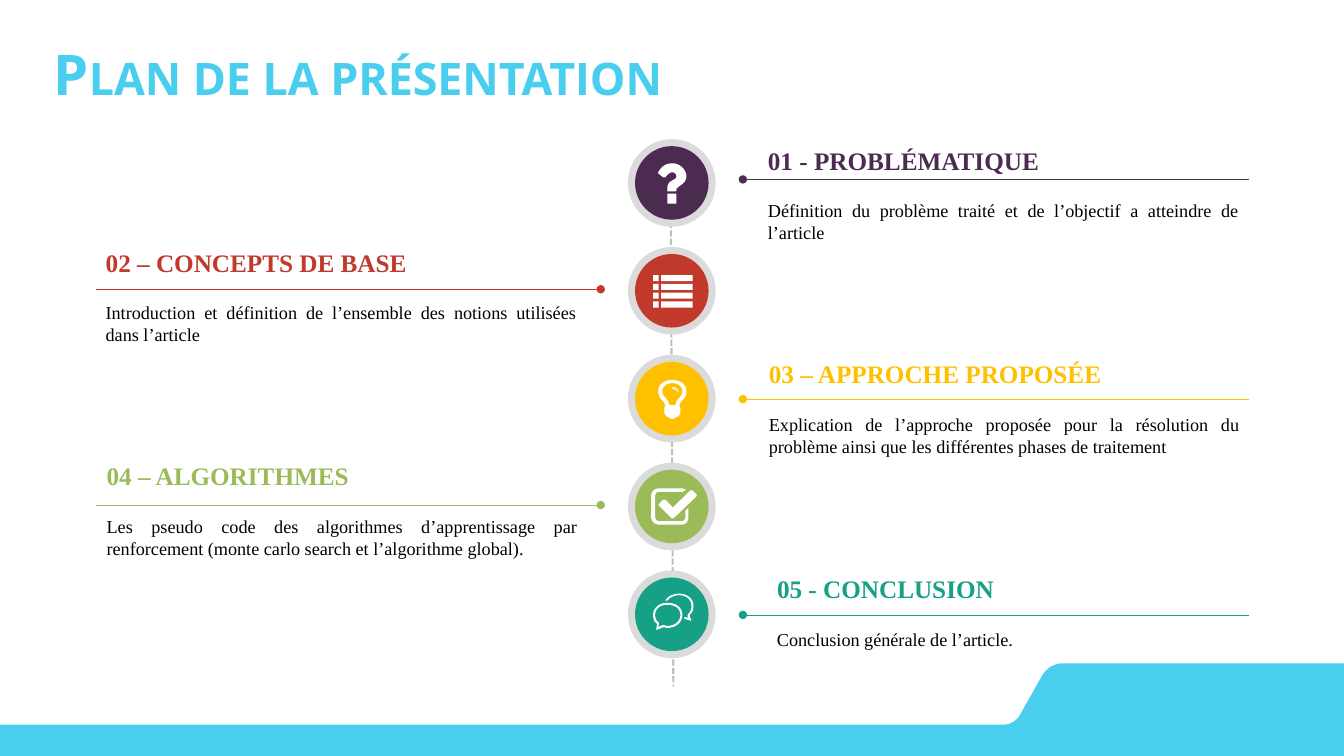
from lxml import etree
from pptx import Presentation
from pptx.dml.color import RGBColor
from pptx.enum.dml import MSO_LINE
from pptx.enum.shapes import MSO_CONNECTOR, MSO_SHAPE
from pptx.enum.text import MSO_ANCHOR, MSO_AUTO_SIZE, PP_ALIGN
from pptx.oxml.ns import qn
from pptx.util import Inches, Pt

OVAL, LINE, DASH = MSO_SHAPE.OVAL, MSO_CONNECTOR.STRAIGHT, MSO_LINE.SQUARE_DOT
LEFT, MID, JUST = PP_ALIGN.LEFT, PP_ALIGN.CENTER, PP_ALIGN.JUSTIFY
TOP, CENTER = MSO_ANCHOR.TOP, MSO_ANCHOR.MIDDLE
GROW, FIXED = MSO_AUTO_SIZE.SHAPE_TO_FIT_TEXT, MSO_AUTO_SIZE.NONE

WIDE, HIGH = 133.33, 75
SKY, WHITE, RING, DASHED = "49CEEF", "FFFFFF", "DBDBDB", "BFBFBF"
AXIS, FIRST, STEP = 66.65, 18.15, 10.7
STEPS = 10


def cell(n):
    return Inches(n / 10)


def color(code):
    return RGBColor.from_string(code)


def box(x, y, w, h):
    return [(x, y), (x + w, y), (x + w, y + h), (x, y + h)]


def trace(loop):
    """Turn corners (x, y) and cubic curves (six numbers) into plain points."""
    points = [loop[0]]
    for part in loop[1:]:
        if len(part) == 2:
            points.append(part)
            continue
        knots = [points[-1], part[:2], part[2:4], part[4:]]
        for i in range(1, STEPS + 1):
            t = i / STEPS
            mix = ((1 - t) ** 3, 3 * t * (1 - t) ** 2, 3 * t * t * (1 - t), t ** 3)
            points.append(tuple(sum(m * k[n] for m, k in zip(mix, knots)) for n in (0, 1)))
    return points


class Deck:
    """Draw styled elements on one slide, measured in grid cells."""

    def __init__(self):
        self.file = Presentation()
        self.file.slide_width, self.file.slide_height = cell(WIDE), cell(HIGH)
        self.shapes = self.file.slides.add_slide(self.file.slide_layouts[6]).shapes
        self.font = "Times New Roman"

    def paint(self, shape, code):
        shape.shadow.inherit = False
        shape.fill.solid()
        shape.fill.fore_color.rgb = color(code)
        shape.line.fill.background()

    def disc(self, x, y, size, code):
        spot = [cell(n) for n in (x - size / 2, y - size / 2, size, size)]
        self.paint(self.shapes.add_shape(OVAL, *spot), code)

    def draw(self, loops, code, x=0, y=0):
        pen = None
        for loop in loops:
            points = [(cell(x + a), cell(y + b)) for a, b in trace(loop)]
            if pen is None:
                pen = self.shapes.build_freeform(*points[0], scale=1.0)
            else:
                pen.move_to(*points[0])
            pen.add_line_segments(points[1:], close=True)
        self.paint(pen.convert_to_shape(), code)

    def rule(self, start, end, code, width, dash=None, dot=False):
        line = self.shapes.add_connector(LINE, *[cell(n) for n in start + end])
        line.line.color.rgb = color(code)
        line.line.width = Pt(width)
        if dash:
            line.line.dash_style = dash
        if dot:
            etree.SubElement(line.line._get_or_add_ln(), qn("a:headEnd"), type="oval")
        etree.SubElement(line._element.spPr, qn("a:effectLst"))

    def text(self, words, x, y, w, h, size=13, code="000000", font=None, bold=False,
             caps=False, align=LEFT, anchor=TOP, wrap=True, fit=GROW):
        frame = self.shapes.add_textbox(*[cell(n) for n in (x, y, w, h)]).text_frame
        frame.word_wrap, frame.auto_size, frame.vertical_anchor = wrap, fit, anchor
        para = frame.paragraphs[0]
        para.alignment = align
        run = para.add_run()
        run.text = words
        run.font.name, run.font.size, run.font.bold = font or self.font, Pt(size), bold
        run.font.color.rgb = color(code)
        if caps:
            run._r.get_or_add_rPr().set("cap", "small")


BAND = [[(105.5, 65.8), (104.6, 65.8, 103.8, 66.3, 103.4, 67), (101.2, 70.9),
         (100.9, 71.5, 100.2, 71.9, 99.5, 71.9), (0, 71.9), (0, HIGH),
         (WIDE, HIGH), (WIDE, 65.8)]]

QUERY = [
    box(-0.45, 1.05, 0.9, 1),
    [(0.05, -1.95), (0.8, -1.95, 1.45, -1.3, 1.45, -0.65),
     (1.45, 0.15, 0.45, 0.35, 0.45, 0.65), (0.45, 0.85), (-0.45, 0.85), (-0.45, 0.55),
     (-0.45, -0.35, 0.45, -0.2, 0.45, -0.65), (0.45, -0.95, 0.2, -1.05, 0.05, -1.05),
     (-0.25, -1.05, -0.45, -0.8, -0.65, -0.55), (-0.85, -0.55), (-1.35, -0.95),
     (-1.35, -1.05), (-1.05, -1.65, -0.55, -1.95, 0.05, -1.95)]]

LIST = [box(x, -1.55 + 0.87 * i, w, 0.6)
        for i in range(4) for x, w in ((-1.85, 0.55), (-1.05, 3.1))]

BULB = [
    [(0.05, -1.85), (0.85, -1.85, 1.45, -1.4, 1.45, -0.75), (1.45, 0.1, 0.85, 0.1, 0.75, 0.7),
     (0.85, 0.95), (0.85, 1.45), (0.65, 1.75), (0.4, 1.85), (0.3, 2.05, -0.2, 2.05, -0.3, 1.85),
     (-0.55, 1.75), (-0.75, 1.45), (-0.75, 0.95), (-0.65, 0.7),
     (-0.75, 0.1, -1.35, 0.1, -1.35, -0.75), (-1.35, -1.4, -0.75, -1.85, 0.05, -1.85)],
    [(0.05, -1.55), (-0.55, -1.55, -0.95, -1.15, -0.95, -0.75),
     (-0.95, -0.15, -0.35, -0.05, -0.25, 0.65), (0.35, 0.65),
     (0.45, -0.05, 1.05, -0.15, 1.05, -0.75), (1.05, -1.15, 0.65, -1.55, 0.05, -1.55)],
    [(0.05, -1.15), (0.35, -1.15, 0.65, -0.95, 0.65, -0.65), (0.55, -0.65),
     (0.45, -0.9, 0.25, -0.95, 0.05, -0.95)]]

CHECK = [
    [(-1.25, -1.8), (0.95, -1.8), (1.1, -1.8, 1.25, -1.75, 1.4, -1.65), (1.1, -1.45),
     (-1.25, -1.45), (-1.5, -1.45, -1.65, -1.3, -1.65, -1), (-1.65, 1),
     (-1.65, 1.3, -1.5, 1.45, -1.25, 1.45), (0.95, 1.45), (1.2, 1.45, 1.35, 1.3, 1.35, 1),
     (1.35, 0.4), (1.65, 0.15), (1.65, 1), (1.65, 1.5, 1.4, 1.8, 0.95, 1.8), (-1.25, 1.8),
     (-1.7, 1.8, -2.05, 1.5, -2.05, 1), (-2.05, -1), (-2.05, -1.5, -1.7, -1.8, -1.25, -1.8)],
    [(1.75, -1.5), (1.85, -1.65, 2.05, -1.65, 2.15, -1.5), (2.4, -1.25),
     (2.5, -1.15, 2.5, -1.05, 2.4, -0.95), (0.25, 1.1), (0.15, 1.2, 0, 1.2, -0.1, 1.1),
     (-1.2, 0), (-1.35, -0.1, -1.35, -0.2, -1.2, -0.3), (-0.95, -0.6),
     (-0.85, -0.7, -0.7, -0.7, -0.55, -0.6), (0.1, 0.1)]]

CHAT = [
    [(-0.45, 1.15), (-0.55, 1.15, -0.65, 1.1, -0.85, 1.05), (-1.35, 1.25), (-1.25, 0.85),
     (-1.55, 0.65, -1.65, 0.35, -1.65, 0.05), (-1.65, -0.55, -1.15, -0.95, -0.45, -0.95),
     (0.35, -0.95, 0.85, -0.55, 0.85, 0.05), (0.85, 0.65, 0.35, 1.15, -0.45, 1.15)],
    [(-0.45, -1.15), (-1.25, -1.15, -1.85, -0.65, -1.85, 0.05),
     (-1.85, 0.45, -1.75, 0.75, -1.45, 0.95), (-1.55, 1.55), (-0.75, 1.25),
     (-0.65, 1.35, -0.55, 1.35, -0.45, 1.35), (0.45, 1.35, 1.05, 0.75, 1.05, 0.05),
     (1.05, -0.65, 0.45, -1.15, -0.45, -1.15)],
    [(2.15, -0.85), (2.15, -1.55, 1.55, -2.05, 0.75, -2.05),
     (0.05, -2.05, -0.45, -1.75, -0.65, -1.35), (-0.45, -1.35),
     (-0.25, -1.65, 0.25, -1.9, 0.75, -1.9), (1.45, -1.9, 1.95, -1.45, 1.95, -0.85),
     (1.95, -0.55, 1.85, -0.25, 1.65, -0.05), (1.55, 0.15), (1.65, 0.35), (1.25, 0.25),
     (1.25, 0.45), (1.95, 0.65), (1.75, 0.05), (2.05, -0.15, 2.15, -0.45, 2.15, -0.85)]]

PARTS = [
    ("01 - PROBLÉMATIQUE", 75.2, 13.9, 29, 17.8, 5.4, "4B2C50", QUERY,
     "Définition du problème traité et de l’objectif a atteindre de l’article"),
    ("02 – CONCEPTS DE BASE", 9.5, 24, 32.2, 28.7, 5.4, "C0392B", LIST,
     "Introduction et définition de l’ensemble des notions utilisées dans l’article"),
    ("03 – APPROCHE PROPOSÉE", 75.3, 35.1, 36, 39.6, 5.4, "FFC000", BULB,
     "Explication de l’approche proposée pour la résolution du problème ainsi que "
     "les différentes phases de traitement"),
    ("04 – ALGORITHMES", 9.6, 45.2, 26.3, 50.1, 5.4, "9BBB59", CHECK,
     "Les pseudo code des algorithmes d’apprentissage par renforcement "
     "(monte carlo search et l’algorithme global)."),
    ("05 - CONCLUSION", 76.1, 56.4, 23.8, 61, 3.2, "16A085", CHAT,
     "Conclusion générale de l’article.")]


def main():
    deck = Deck()
    deck.draw(BAND, SKY)
    deck.text("Plan de la présentation", 2.1, 0, 66.8, 14.5, size=40, code=SKY,
              font="Open Sans", bold=True, caps=True, align=MID, anchor=CENTER, fit=FIXED)
    deck.rule((66.5, 14.5), (66.8, 68.1), DASHED, 1.5, dash=DASH)
    for i, (head, x, y, wide, level, tall, code, icon, body) in enumerate(PARTS):
        mid = FIRST + STEP * i
        near, far = (59.6, 9.5) if i % 2 else (73.7, 123.9)
        deck.disc(AXIS, mid, 8.7, RING)
        deck.disc(AXIS, mid, 7.3, code)
        deck.draw(icon, WHITE, AXIS, mid)
        deck.rule((near, level), (far, level), code, 0.25, dot=True)
        deck.text(head, x, y, wide, 4, size=18, code=code, bold=True, wrap=False)
        deck.text(body, x, y + 5.4, 48.6, tall, align=JUST)
    deck.file.save("out.pptx")


if __name__ == "__main__":
    main()
